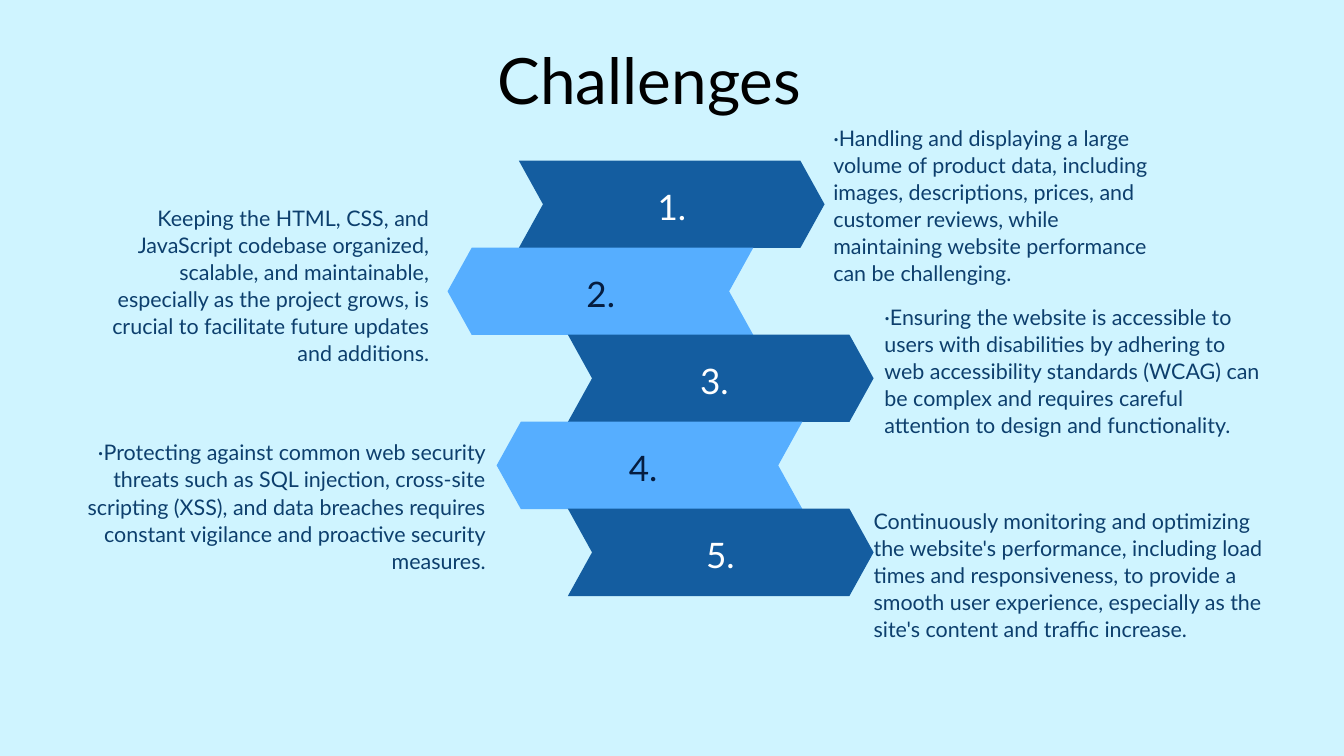
from dataclasses import dataclass

from pptx import Presentation
from pptx.dml.color import RGBColor
from pptx.enum.shapes import MSO_SHAPE as Preset
from pptx.enum.text import MSO_ANCHOR as Anchor, MSO_AUTO_SIZE as AutoSize, PP_ALIGN as Align
from pptx.slide import Slide
from pptx.text.text import TextFrame
from pptx.util import Inches, Pt

COLORS = {
    "background": "CFF4FF",
    "dark_band": "145DA0",
    "light_band": "56AEFF",
    "navy": "051D40",
    "body": "0D3F6D",
    "white": "FFFFFF",
    "black": "000000",
}
BAND_TOP, BAND_PITCH = 2.39, 1.295
BAND_WIDTH, BAND_HEIGHT, BAND_POINT = 4.55, 1.3, 0.36
LABEL_WIDTH, LABEL_HEIGHT, LABEL_DROP = 3, 0.69, 0.27


@dataclass(frozen=True)
class TextStyle:
    size: float
    line: float
    color: str
    align: Align


@dataclass(frozen=True)
class Challenge:
    band_left: float
    label_left: float
    text_at: tuple[float, float, float, float]
    text: str
    points_right: bool


TITLE = TextStyle(68.4, 94.4, "black", Align.CENTER)

CHALLENGES = [
    Challenge(7.72, 8.5, (12.4, 1.84, 4.95, 2.76),
              "·Handling and displaying a large volume of product data, including images, "
              "descriptions, prices, and customer reviews, while maintaining website "
              "performance can be challenging.", True),
    Challenge(6.66, 7.44, (1.45, 3.03, 4.94, 2.76),
              "Keeping the HTML, CSS, and JavaScript codebase organized, scalable, and "
              "maintainable, especially as the project grows, is crucial to facilitate "
              "future updates and additions.", False),
    Challenge(8.45, 9.13, (13.16, 4.5, 5.71, 2.37),
              "·Ensuring the website is accessible to users with disabilities by adhering "
              "to web accessibility standards (WCAG) can be complex and requires careful "
              "attention to design and functionality.", True),
    Challenge(7.39, 8.07, (1.21, 6.52, 6.02, 2.37),
              "·Protecting against common web security threats such as SQL injection, "
              "cross-site scripting (XSS), and data breaches requires constant vigilance "
              "and proactive security measures.", False),
    Challenge(8.45, 9.22, (13, 7.54, 6.07, 2.37),
              "Continuously monitoring and optimizing the website's performance, including "
              "load times and responsiveness, to provide a smooth user experience, "
              "especially as the site's content and traffic increase.", True),
]


def write_text(frame: TextFrame, text: str, style: TextStyle) -> None:
    frame_format = {
        "margin_left": 0, "margin_top": 0, "margin_right": 0, "margin_bottom": 0,
        "word_wrap": True, "auto_size": AutoSize.NONE, "vertical_anchor": Anchor.TOP,
    }
    for name, value in frame_format.items():
        setattr(frame, name, value)
    para = frame.paragraphs[0]
    para.alignment = style.align
    para.line_spacing = Pt(style.line)
    span = para.add_run()
    span.text = text
    for name, value in {"name": "Lato", "size": Pt(style.size)}.items():
        setattr(span.font, name, value)
    span.font.color.rgb = RGBColor.from_string(COLORS[style.color])


def add_text(page: Slide, at: tuple[float, float, float, float], text: str,
             style: TextStyle) -> None:
    box = page.shapes.add_textbox(*map(Inches, at))
    write_text(box.text_frame, text, style)


def add_title(page: Slide, text: str) -> None:
    title = page.shapes.title
    place = {"left": 6.93, "top": 0.43, "width": 5.47, "height": 1.26}
    for name, value in place.items():
        setattr(title, name, Inches(value))
    write_text(title.text_frame, text, TITLE)


def add_band(page: Slide, left: float, top: float, points_right: bool) -> None:
    band = page.shapes.add_shape(Preset.CHEVRON, Inches(left), Inches(top),
                                 Inches(BAND_WIDTH), Inches(BAND_HEIGHT))
    band.adjustments[0] = BAND_POINT / BAND_HEIGHT
    band.rotation = 0 if points_right else 180
    band.shadow.inherit = False
    band.fill.solid()
    color = "dark_band" if points_right else "light_band"
    band.fill.fore_color.rgb = RGBColor.from_string(COLORS[color])
    band.line.fill.background()


def add_challenge(page: Slide, number: int, item: Challenge) -> None:
    top = BAND_TOP + (number - 1) * BAND_PITCH
    add_band(page, item.band_left, top, item.points_right)
    label_color = "white" if item.points_right else "navy"
    add_text(page, (item.label_left, top + LABEL_DROP, LABEL_WIDTH, LABEL_HEIGHT),
             f"{number}.", TextStyle(37.6, 51.9, label_color, Align.CENTER))
    align = Align.LEFT if item.points_right else Align.RIGHT
    add_text(page, item.text_at, item.text, TextStyle(23, 29, "body", align))


def main() -> None:
    deck = Presentation()
    deck.slide_width, deck.slide_height = Inches(20), Inches(11.25)
    page = deck.slides.add_slide(deck.slide_layouts.get_by_name("Title Only"))
    page.background.fill.solid()
    page.background.fill.fore_color.rgb = RGBColor.from_string(COLORS["background"])
    add_title(page, "Challenges")
    for number, item in enumerate(CHALLENGES, start=1):
        add_challenge(page, number, item)
    deck.save("out.pptx")


if __name__ == "__main__":
    main()
